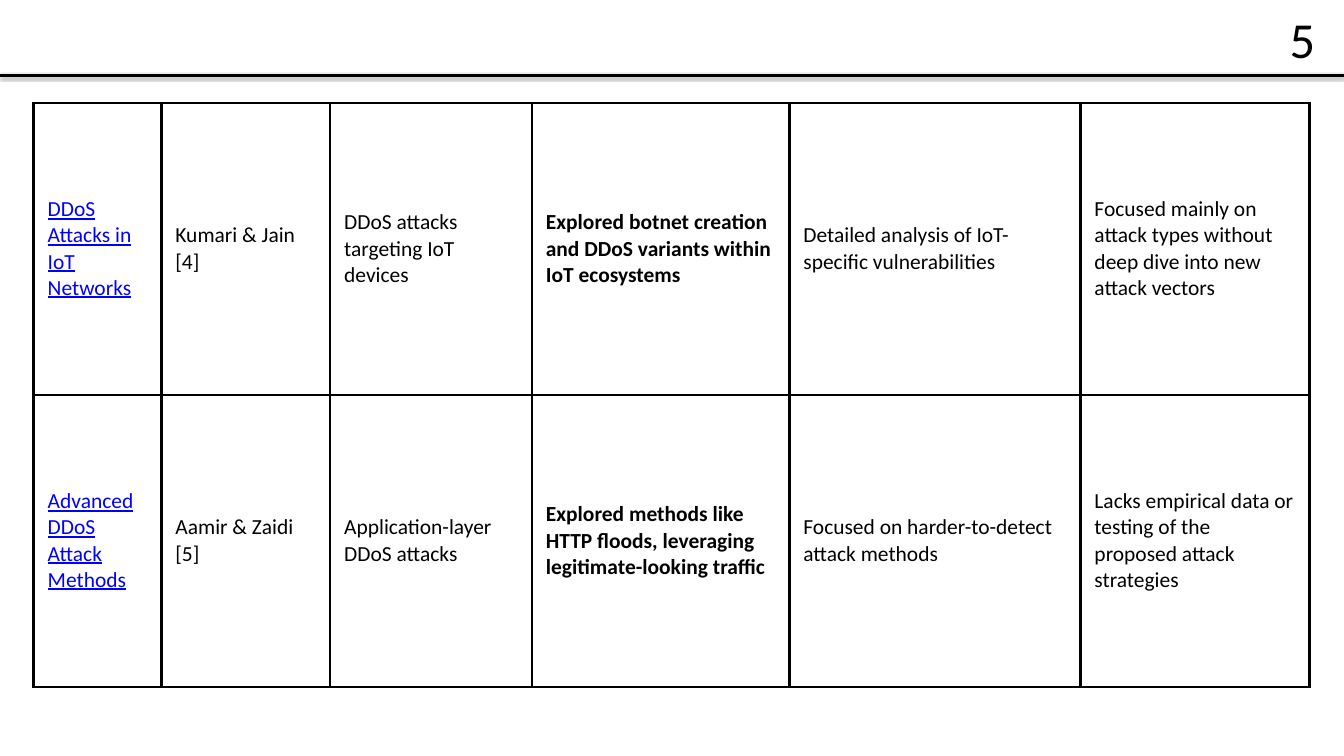
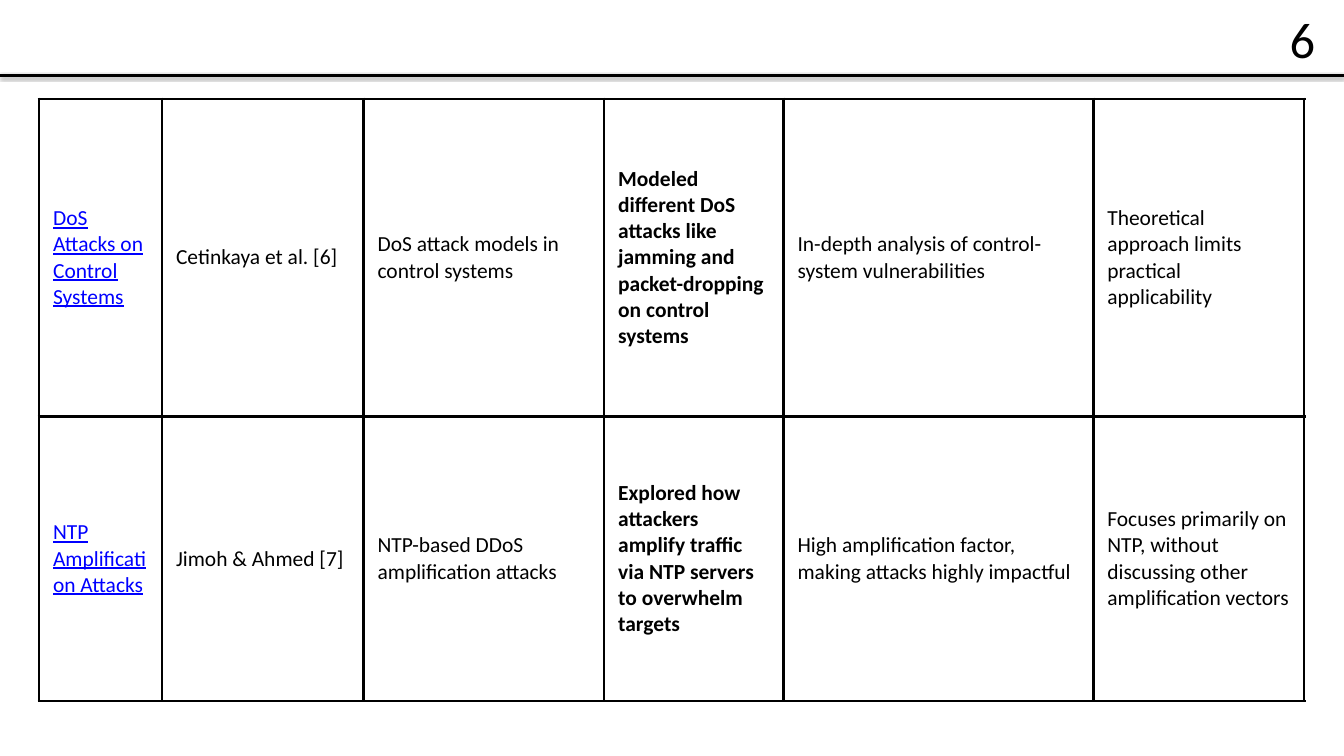
from collections import namedtuple

from lxml.etree import SubElement
from pptx import Presentation
from pptx.dml.color import RGBColor
from pptx.enum.shapes import MSO_CONNECTOR
from pptx.enum.text import MSO_ANCHOR, PP_ALIGN
from pptx.oxml import parse_xml
from pptx.oxml.ns import nsdecls, qn
from pptx.util import Inches, Pt

# Shared look: a grid of one-inch units, 20 columns by 11.25 rows
COLUMNS, ROWS = 20, 11.25
COLORS = {"ink": "000000", "link": "0000FF", "page": "FFFFFF"}
FONT = "Calibri"
CELL_SIZE, CELL_LEADING, NUMBER_SIZE = Pt(23), Pt(28), Pt(54)
CELL_MARGIN = Inches(0.21)
RULE_WIDTH = Pt(3)
TITLE_COLUMN, FINDING_COLUMN = 0, 3

Box = namedtuple("Box", "left top width height")
HEADER = Box(0, 0, COLUMNS, 1.12)

# Each survey page: number, table box, column and row weights, studies
PAGES = [
    (5, Box(0.5, 1.53, 18.99, 8.69), [1.9, 2.51, 3, 3.83, 4.33, 3.41], [1, 1], [
        ["DDoS Attacks in IoT Networks",
         "Kumari & Jain [4]",
         "DDoS attacks targeting IoT devices",
         "Explored botnet creation and DDoS variants within IoT ecosystems",
         "Detailed analysis of IoT-specific vulnerabilities",
         "Focused mainly on attack types without deep dive into new attack vectors"],
        ["Advanced DDoS Attack Methods",
         "Aamir & Zaidi [5]",
         "Application-layer DDoS attacks",
         "Explored methods like HTTP floods, leveraging legitimate-looking traffic",
         "Focused on harder-to-detect attack methods",
         "Lacks empirical data or testing of the proposed attack strategies"],
    ]),
    (6, Box(0.58, 1.47, 18.83, 8.96), [1.83, 3, 3.58, 2.67, 4.61, 3.14], [4.73, 4.23], [
        ["DoS Attacks on Control Systems",
         "Cetinkaya et al. [6]",
         "DoS attack models in control systems",
         "Modeled different DoS attacks like jamming and packet-dropping on control systems",
         "In-depth analysis of control-system vulnerabilities",
         "Theoretical approach limits practical applicability"],
        ["NTP Amplification Attacks",
         "Jimoh & Ahmed [7]",
         "NTP-based DDoS amplification attacks",
         "Explored how attackers amplify traffic via NTP servers to overwhelm targets",
         "High amplification factor, making attacks highly impactful",
         "Focuses primarily on NTP, without discussing other amplification vectors"],
    ]),
]


def place(box):
    return [Inches(length) for length in box]


def style_font(font, size, color="ink"):
    font.name, font.size = FONT, size
    font.color.rgb = RGBColor.from_string(COLORS[color])


def add_soft_shadow(connector):
    effects = SubElement(connector._element.spPr, qn("a:effectLst"))
    effects.append(parse_xml(
        f'<a:outerShdw {nsdecls("a")} blurRad="{Pt(3.1)}" dist="{Pt(1.8)}" '
        f'dir="5400000" rotWithShape="0"><a:srgbClr val="{COLORS["ink"]}">'
        '<a:alpha val="35000"/></a:srgbClr></a:outerShdw>'))


def add_header(slide, box, number):
    # Rule along the bottom of the header
    bottom = box.top + box.height
    rule = slide.shapes.add_connector(
        MSO_CONNECTOR.STRAIGHT,
        *place((box.left, bottom, box.left + box.width, bottom)))
    rule.line.color.rgb = RGBColor.from_string(COLORS["ink"])
    rule.line.width = RULE_WIDTH
    add_soft_shadow(rule)

    # Page number at the right
    number_box = Box(box.left + 0.85 * box.width, box.top + 0.21, 2.67, 0.73)
    frame = slide.shapes.add_textbox(*place(number_box)).text_frame
    frame.word_wrap = True
    frame.vertical_anchor = MSO_ANCHOR.MIDDLE
    frame.text = str(number)
    paragraph = frame.paragraphs[0]
    paragraph.alignment = PP_ALIGN.RIGHT
    style_font(paragraph.runs[0].font, NUMBER_SIZE)


def add_borders(cell):
    properties = cell._tc.get_or_add_tcPr()
    for position, side in enumerate(("lnL", "lnR", "lnT", "lnB")):
        properties.insert(position, parse_xml(
            f'<a:{side} {nsdecls("a")} w="{RULE_WIDTH}"><a:solidFill>'
            f'<a:srgbClr val="{COLORS["ink"]}"/></a:solidFill></a:{side}>'))


def fill_cell(cell, text, column):
    cell.fill.background()
    add_borders(cell)
    cell.vertical_anchor = MSO_ANCHOR.MIDDLE
    cell.margin_left = cell.margin_right = CELL_MARGIN
    cell.margin_top = cell.margin_bottom = CELL_MARGIN
    cell.text_frame.text = text
    paragraph = cell.text_frame.paragraphs[0]
    paragraph.line_spacing = CELL_LEADING
    font = paragraph.runs[0].font
    is_title = column == TITLE_COLUMN
    style_font(font, CELL_SIZE, "link" if is_title else "ink")
    font.underline = is_title
    font.bold = column == FINDING_COLUMN


def add_studies(slide, box, column_weights, row_weights, studies):
    table = slide.shapes.add_table(
        len(row_weights), len(column_weights), *place(box)).table
    table.first_row = table.horz_banding = False
    for column, weight in zip(table.columns, column_weights):
        column.width = Inches(box.width * weight / sum(column_weights))
    for row, weight in zip(table.rows, row_weights):
        row.height = Inches(box.height * weight / sum(row_weights))
    for row, study in zip(table.rows, studies):
        for column, text in enumerate(study):
            fill_cell(row.cells[column], text, column)


def add_survey_slide(deck, number, *survey):
    slide = deck.slides.add_slide(deck.slide_layouts[6])
    slide.background.fill.solid()
    slide.background.fill.fore_color.rgb = RGBColor.from_string(COLORS["page"])
    add_header(slide, HEADER, number)
    add_studies(slide, *survey)


def main():
    deck = Presentation()
    deck.slide_width, deck.slide_height = Inches(COLUMNS), Inches(ROWS)
    for page in PAGES:
        add_survey_slide(deck, *page)
    deck.save("out.pptx")


if __name__ == "__main__":
    main()
